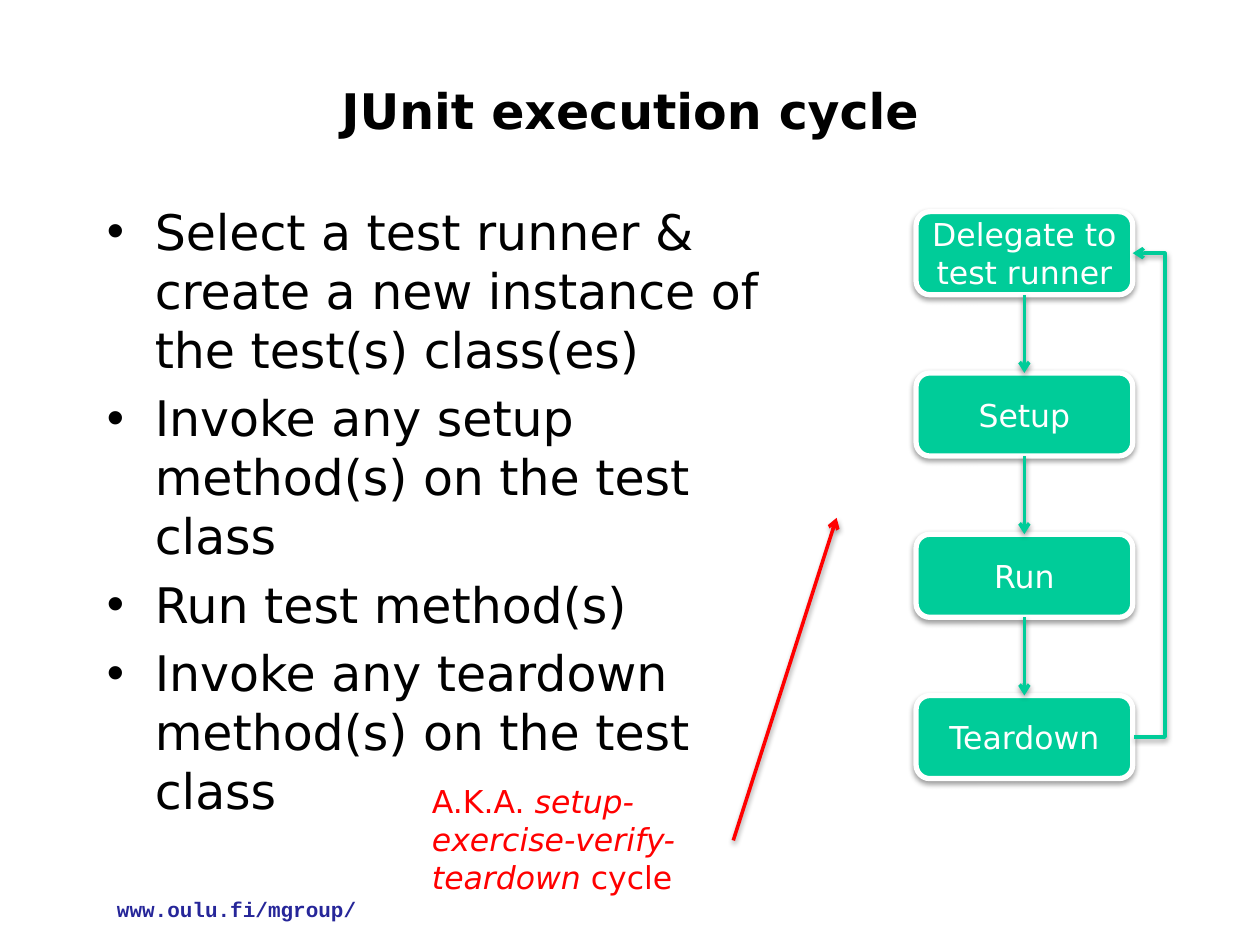
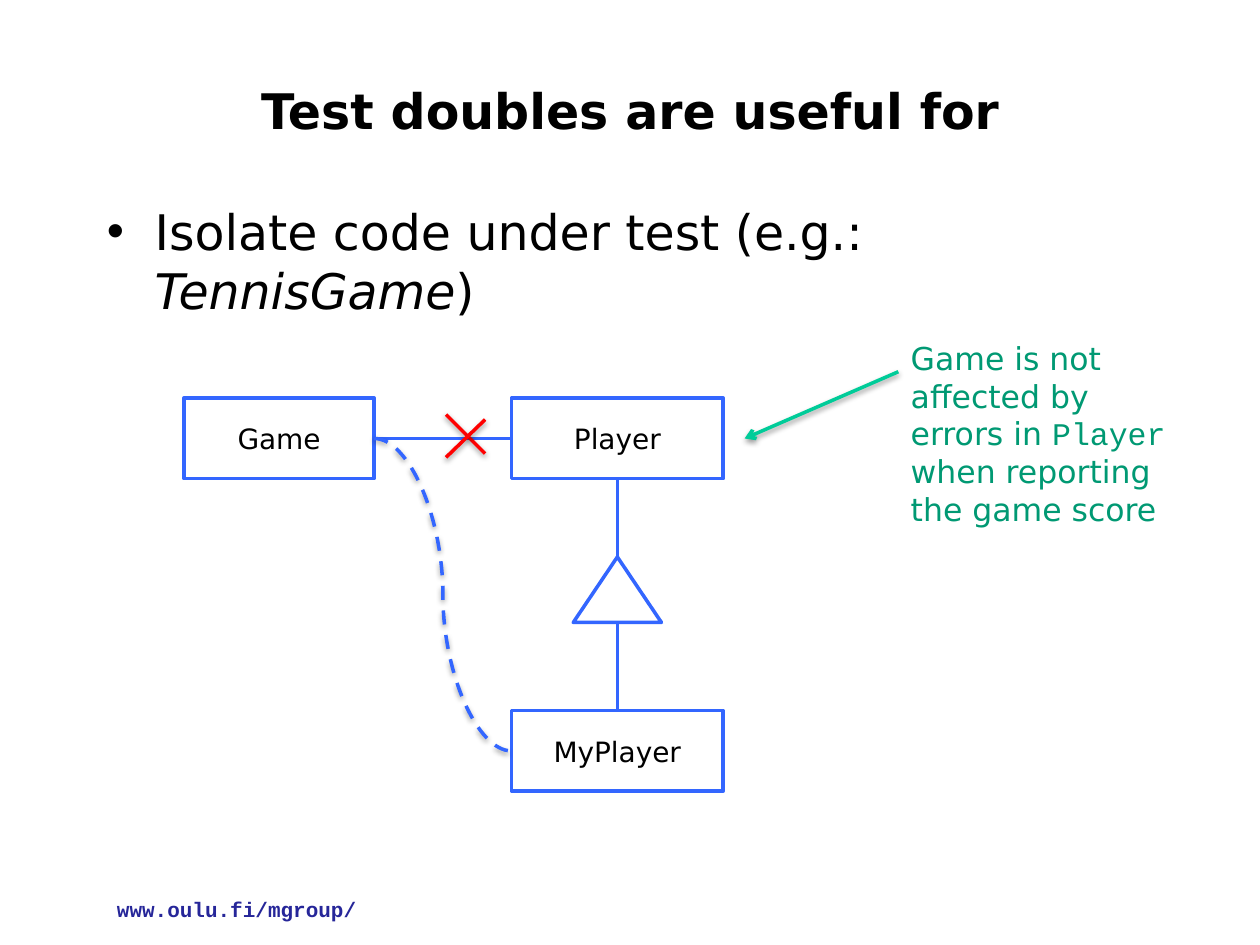
"""Builds two slides on the JUnit cycle and on test doubles."""
from lxml import etree
from pptx import Presentation
from pptx import util as u
from pptx.dml.color import RGBColor
from pptx.enum import dml, shapes, text
from pptx.oxml import ns

PX = 9144
SANS, MONO = "DejaVu Sans", "Courier New"
BLACK, WHITE, RED, NAVY = "000000", "FFFFFF", "FF0000", "262699"
GREEN, DARK_GREEN, BLUE = "00CC99", "009973", "3366FF"


def px(length):
    return u.Emu(length * PX)


def colour(value):
    return RGBColor.from_string(value)


def add_node(parent, tag, **attributes):
    node = etree.SubElement(parent, ns.qn(tag))
    for name, value in attributes.items():
        node.set(name, str(value))
    return node


def set_effects(shape, shadow):
    properties = shape._element.spPr
    for old in properties.findall(ns.qn("a:effectLst")):
        properties.remove(old)
    effects = add_node(properties, "a:effectLst")
    if shadow:
        outer = add_node(effects, "a:outerShdw", blurRad=40000, dist=20000,
                         dir=5400000, rotWithShape=0)
        add_node(add_node(outer, "a:srgbClr", val=BLACK), "a:alpha", val=38000)


class Deck:
    def __init__(self):
        self.deck = Presentation()
        self.deck.slide_width, self.deck.slide_height = px(1000), px(750)
        self.page = None

    def new_page(self, title):
        self.page = self.deck.slides.add_slide(self.deck.slide_layouts[5])
        box = self.page.shapes.title
        box.left, box.top, box.width, box.height = map(px, (75, 25, 850, 125))
        box.text_frame.vertical_anchor = text.MSO_ANCHOR.MIDDLE
        para = box.text_frame.paragraphs[0]
        para.alignment = text.PP_ALIGN.CENTER
        self.span(para, title, 28, BLACK, bold=True)
        self.textbox((83, 707, 213, 30), [("www.oulu.fi/mgroup/", {"font": MONO, "bold": True})],
                     12, NAVY, wrap=False)

    def span(self, para, words, size, ink, font=SANS, bold=False, italic=False):
        span = para.add_run()
        span.text = words
        span.font.size, span.font.name = u.Pt(size), font
        span.font.bold, span.font.italic = bold, italic
        span.font.color.rgb = colour(ink)

    def textbox(self, place, spans, size, ink, wrap=True):
        box = self.page.shapes.add_textbox(*map(px, place))
        box.text_frame.word_wrap = wrap
        for words, style in spans:
            self.span(box.text_frame.paragraphs[0], words, size, ink, **style)

    def bullets(self, place, items):
        frame = self.page.shapes.add_textbox(*map(px, place)).text_frame
        frame.word_wrap = True
        for index, spans in enumerate(items):
            para = frame.add_paragraph() if index else frame.paragraphs[0]
            properties = para._p.get_or_add_pPr()
            properties.set("marL", str(px(38)))
            properties.set("indent", str(px(-38)))
            add_node(properties, "a:buFont", typeface="Arial")
            add_node(properties, "a:buChar", char="•")
            para.space_before = u.Pt(5.6 if index else 0)
            for words, style in spans:
                self.span(para, words, 28, BLACK, **style)

    def block(self, kind, place, fill, edge, weight, label="", size=16, ink=BLACK, shadow=False):
        box = self.page.shapes.add_shape(kind, *map(px, place))
        box.fill.solid()
        box.fill.fore_color.rgb = colour(fill)
        box.line.color.rgb = colour(edge)
        box.line.width = u.Pt(weight)
        box.shadow.inherit = False
        set_effects(box, shadow)
        if label:
            frame = box.text_frame
            frame.word_wrap = True
            frame.margin_left = frame.margin_right = px(4)
            frame.margin_top = frame.margin_bottom = px(0)
            frame.vertical_anchor = text.MSO_ANCHOR.MIDDLE
            para = frame.paragraphs[0]
            para.alignment = text.PP_ALIGN.CENTER
            self.span(para, label, size, ink)
        return box

    def line(self, start, end, ink, kind=shapes.MSO_CONNECTOR.STRAIGHT, begin=None, finish=None,
             arrow=False, dash=False, shadow=False, bend=None):
        line = self.page.shapes.add_connector(kind, *map(px, start + end))
        if begin:
            line.begin_connect(*begin)
        if finish:
            line.end_connect(*finish)
        line.line.color.rgb = colour(ink)
        line.line.width = u.Pt(2)
        if dash:
            line.line.dash_style = dml.MSO_LINE.DASH
        if arrow:
            add_node(line.line._get_or_add_ln(), "a:tailEnd", type="arrow")
        if bend is not None:
            guides = line._element.spPr.find(ns.qn("a:prstGeom")).find(ns.qn("a:avLst"))
            add_node(guides, "a:gd", name="adj1", fmla=f"val {bend}")
        set_effects(line, shadow)


def cycle_page(deck):
    deck.new_page("JUnit execution cycle")
    deck.bullets((75, 155, 589, 512), [[(words, {})] for words in (
        "Select a test runner & create a new instance of the test(s) class(es)",
        "Invoke any setup method(s) on the test class",
        "Run test method(s)",
        "Invoke any teardown method(s) on the test class")])
    labels = ("Delegate to test runner", "Setup", "Run", "Teardown")
    steps = [deck.block(shapes.MSO_SHAPE.ROUNDED_RECTANGLE, (727, 168 + 128 * row, 172, 66),
                        GREEN, WHITE, 3, label, 18, WHITE, shadow=True)
             for row, label in enumerate(labels)]
    deck.line((900, 585), (899, 201), GREEN, shapes.MSO_CONNECTOR.ELBOW,
              arrow=True, shadow=True, bend=-2500000)
    for upper, lower in zip(steps, steps[1:]):
        deck.line((0, 0), (0, 0), GREEN, begin=(upper, 2), finish=(lower, 0),
                  arrow=True, shadow=True)
    deck.textbox((333, 616, 249, 101), [
        ("A.K.A. ", {}), ("setup-exercise-verify-teardown", {"italic": True}), (" cycle", {})],
        18, RED)
    deck.line((582, 667), (664, 411), RED, arrow=True, shadow=True)


def doubles_page(deck):
    deck.new_page("Test doubles are useful for")
    deck.bullets((75, 155, 874, 512), [[
        ("Isolate code under test (e.g.: ", {}), ("TennisGame", {"italic": True}), (")", {})]])
    game, player, my_player = [
        deck.block(shapes.MSO_SHAPE.RECTANGLE, (left, top, width, 64), WHITE, BLUE, 2, label)
        for label, left, top, width in (
            ("Game", 146, 316, 151), ("Player", 406, 316, 168), ("MyPlayer", 406, 564, 168))]
    deck.block(shapes.MSO_SHAPE.ISOSCELES_TRIANGLE, (455, 442, 70, 52), WHITE, BLUE, 2)
    deck.line((490, 380), (490, 442), BLUE, begin=(player, 2))
    deck.line((297, 348), (406, 348), BLUE, begin=(game, 3), finish=(player, 1))
    deck.line((490, 494), (490, 564), BLUE, finish=(my_player, 0))
    deck.line((297, 348), (406, 596), BLUE, shapes.MSO_CONNECTOR.CURVE, dash=True, shadow=True)
    deck.line((354, 329), (385, 360), RED, shadow=True)
    deck.line((354, 363), (385, 333), RED, shadow=True)
    deck.line((713, 295), (591, 348), GREEN, arrow=True, shadow=True)
    deck.textbox((713, 264, 224, 192), [
        ("Game is not affected by errors in ", {}), ("Player", {"font": MONO}),
        (" when reporting the game score", {})], 18, DARK_GREEN)


def main():
    deck = Deck()
    cycle_page(deck)
    doubles_page(deck)
    deck.deck.save("out.pptx")


if __name__ == "__main__":
    main()
